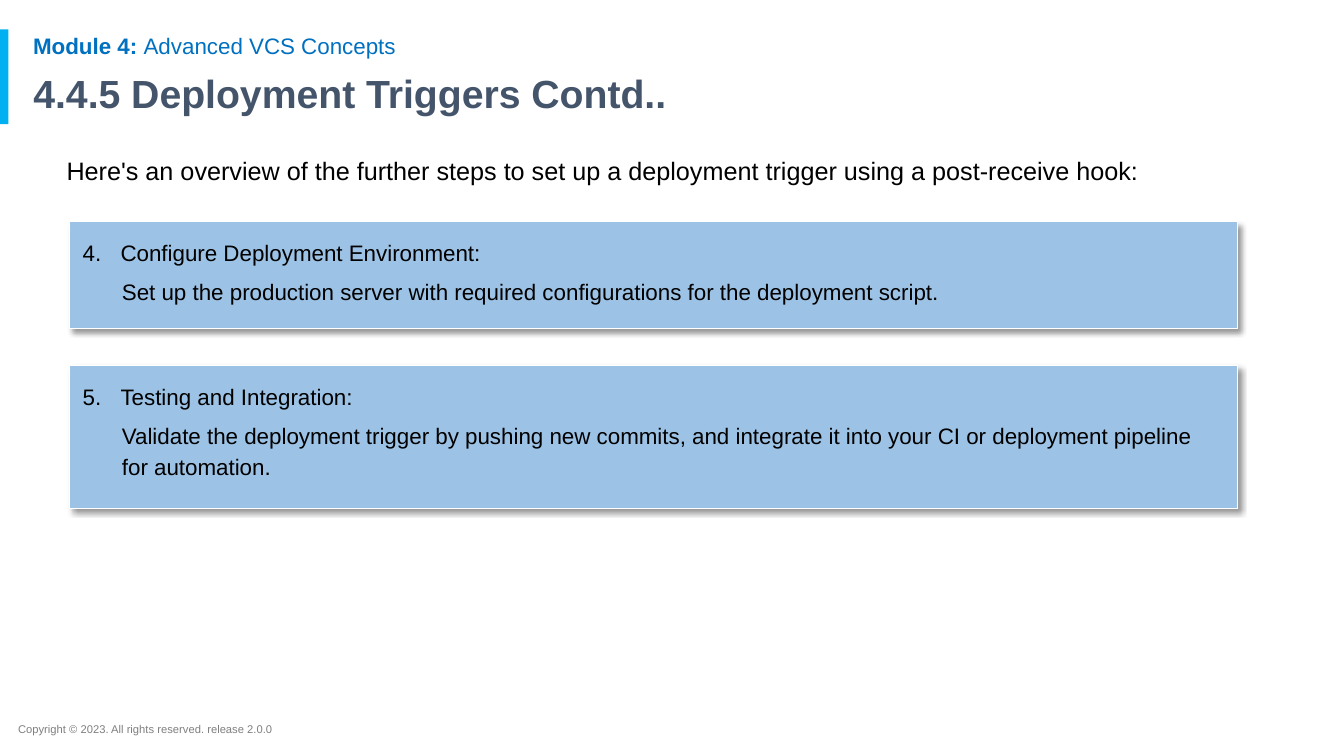
"""Build the deployment triggers slide."""
from lxml import etree
from pptx import Presentation
from pptx.dml.color import RGBColor
from pptx.enum.shapes import MSO_SHAPE as SHAPE
from pptx.enum.text import MSO_ANCHOR as ANCHOR, MSO_AUTO_SIZE as AUTO, PP_ALIGN as ALIGN
from pptx.oxml.ns import qn
from pptx.util import Pt

MODULE = ("Module 4: ", "Advanced VCS Concepts")
TITLE = "4.4.5 Deployment Triggers Contd.."
INTRO = ("Here's an overview of the further steps to set up a deployment trigger "
         "using a post-receive hook:")
FOOTER = "Copyright © 2023. All rights reserved. release 2.0.0"
FIRST_STEP = 4
STEPS = [
    ("Configure Deployment Environment:",
     "Set up the production server with required configurations for the deployment script.", 76.3),
    ("Testing and Integration:",
     "Validate the deployment trigger by pushing new commits, and integrate it into your CI or "
     "deployment pipeline for automation.", 102.2),
]
PANEL_LEFT, PANEL_TOP, PANEL_WIDTH, PANEL_GAP = 49.7, 158.4, 834, 26.5
PANEL_INSET, PANEL_RIGHT_INSET = 9.4, 12
HEAD_INDENT, DETAIL_INDENT = 27, 28


def rgb(value):
    return RGBColor.from_string(value)


def place(shape, *box):
    shape.left, shape.top, shape.width, shape.height = map(Pt, box)


def frame(shape, inset_x=7.2, inset_y=3.6, anchor=ANCHOR.TOP):
    tf = shape.text_frame
    tf.word_wrap, tf.auto_size, tf.vertical_anchor = True, AUTO.NONE, anchor
    tf.margin_left = tf.margin_right = Pt(inset_x)
    tf.margin_top = tf.margin_bottom = Pt(inset_y)
    return tf


def style(p, size, color, spacing=1.0, bold=None, around=0):
    p.alignment, p.line_spacing = ALIGN.LEFT, spacing
    p.space_before = p.space_after = Pt(around)
    p.font.name, p.font.size, p.font.bold = "Arial", Pt(size), bold
    p.font.color.rgb = rgb(color)


def indent(p, left, first, number=None):
    pPr = p._p.get_or_add_pPr()
    pPr.set("marL", str(Pt(left)))
    pPr.set("indent", str(Pt(first)))
    if number is None:
        bullet = etree.Element(qn("a:buNone"))
    else:
        bullet = etree.Element(qn("a:buAutoNum"), type="arabicPeriod", startAt=str(number))
    pPr.insert_element_before(bullet, "a:tabLst", "a:defRPr", "a:extLst")


def add_shadow(shape):
    effects = etree.SubElement(shape._element.spPr, qn("a:effectLst"))
    shadow = etree.SubElement(effects, qn("a:outerShdw"), blurRad=str(Pt(4)), dist=str(Pt(3)),
                              dir="2700000", algn="tl", rotWithShape="0")
    color = etree.SubElement(shadow, qn("a:srgbClr"), val="000000")
    etree.SubElement(color, qn("a:alpha"), val="40000")


def add_text(s, box, texts, size, color, spacing=1.0, anchor=ANCHOR.TOP):
    sp = s.shapes.add_textbox(*map(Pt, box))
    p = frame(sp, anchor=anchor).paragraphs[0]
    style(p, size, color, spacing)
    for text in texts:
        p.add_run().text = text
    return p


def fill_placeholder(sp, box, text, size, color, spacing, bold, anchor):
    place(sp, *box)
    tf = frame(sp, anchor=anchor)
    tf.text = text
    p = tf.paragraphs[0]
    style(p, size, color, spacing, bold)
    indent(p, 0, 0)


def add_panel(s, number, top, head, detail, height):
    sp = s.shapes.add_shape(SHAPE.RECTANGLE, *map(Pt, (PANEL_LEFT, top, PANEL_WIDTH, height)))
    sp.fill.solid()
    sp.fill.fore_color.rgb = rgb("9CC2E5")
    sp.line.color.rgb, sp.line.width = rgb("FFFFFF"), Pt(0.75)
    add_shadow(sp)
    tf = frame(sp, PANEL_INSET, PANEL_INSET)
    tf.margin_right = Pt(PANEL_RIGHT_INSET)
    tf.text = f"{head}\n{detail}"
    first, second = tf.paragraphs
    style(first, 16, "000000", 1.15)
    indent(first, HEAD_INDENT, -HEAD_INDENT, number)
    style(second, 16, "000000", 1.15, around=6)
    indent(second, DETAIL_INDENT, 0)


def main():
    prs = Presentation()
    prs.slide_width, prs.slide_height = Pt(960), Pt(540)
    s = prs.slides.add_slide(prs.slide_layouts[1])

    bar = s.shapes.add_shape(SHAPE.RECTANGLE, *map(Pt, (0, 21, 6, 67.7)))
    bar.shadow.inherit = False
    bar.fill.solid()
    bar.fill.fore_color.rgb = rgb("00B0F0")
    bar.line.fill.background()

    add_text(s, (5.8, 512.6, 513.4, 17.3), [FOOTER], 8, "7F7F7F")
    module = add_text(s, (16.6, 21.6, 828, 23.8), MODULE, 16, "0070C0", 0.9, ANCHOR.MIDDLE)
    module.runs[0].font.bold = True

    fill_placeholder(s.shapes.title, (16.6, 49.2, 828, 38.9), TITLE, 28, "44546A",
                     0.9, True, ANCHOR.MIDDLE)
    fill_placeholder(s.placeholders[1], (40.3, 103, 809.3, 380.9), INTRO, 18, "000000",
                     1.2, False, ANCHOR.TOP)

    top = PANEL_TOP
    for number, (head, detail, height) in enumerate(STEPS, FIRST_STEP):
        add_panel(s, number, top, head, detail, height)
        top += height + PANEL_GAP

    prs.save("out.pptx")


if __name__ == "__main__":
    main()
